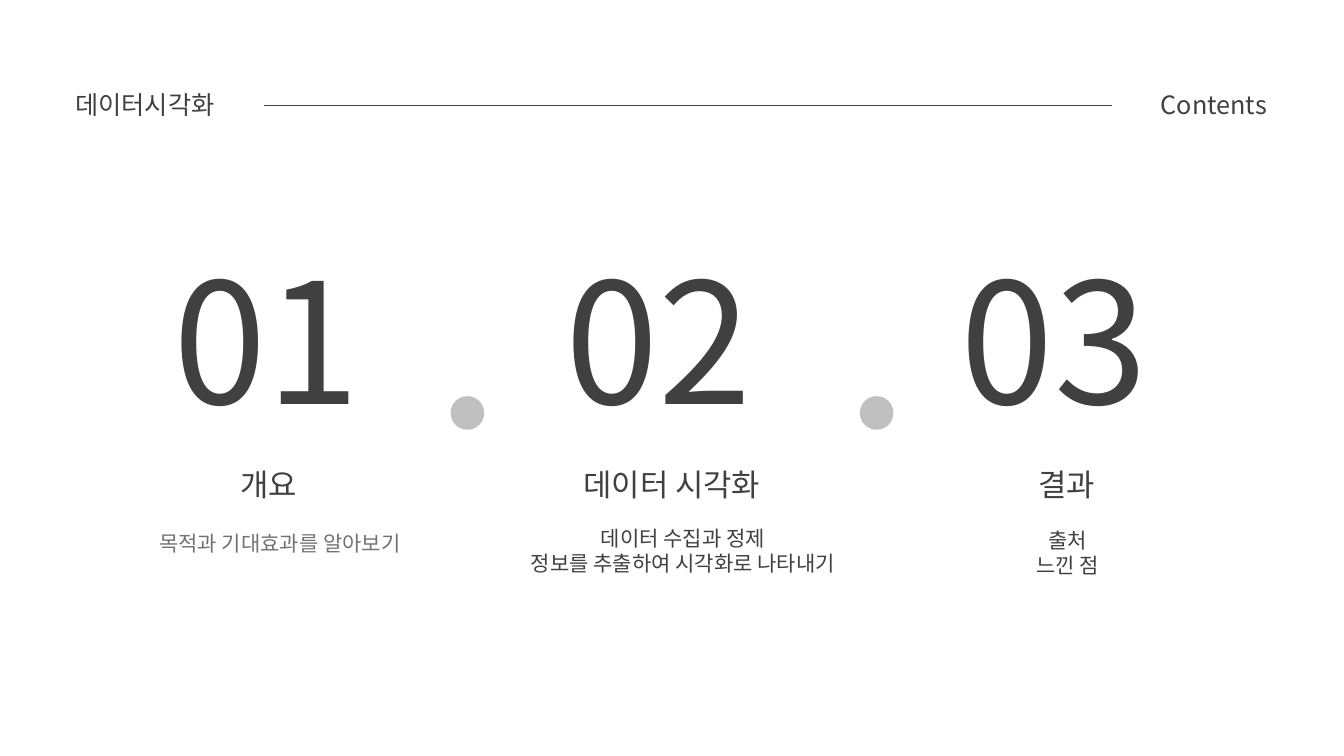
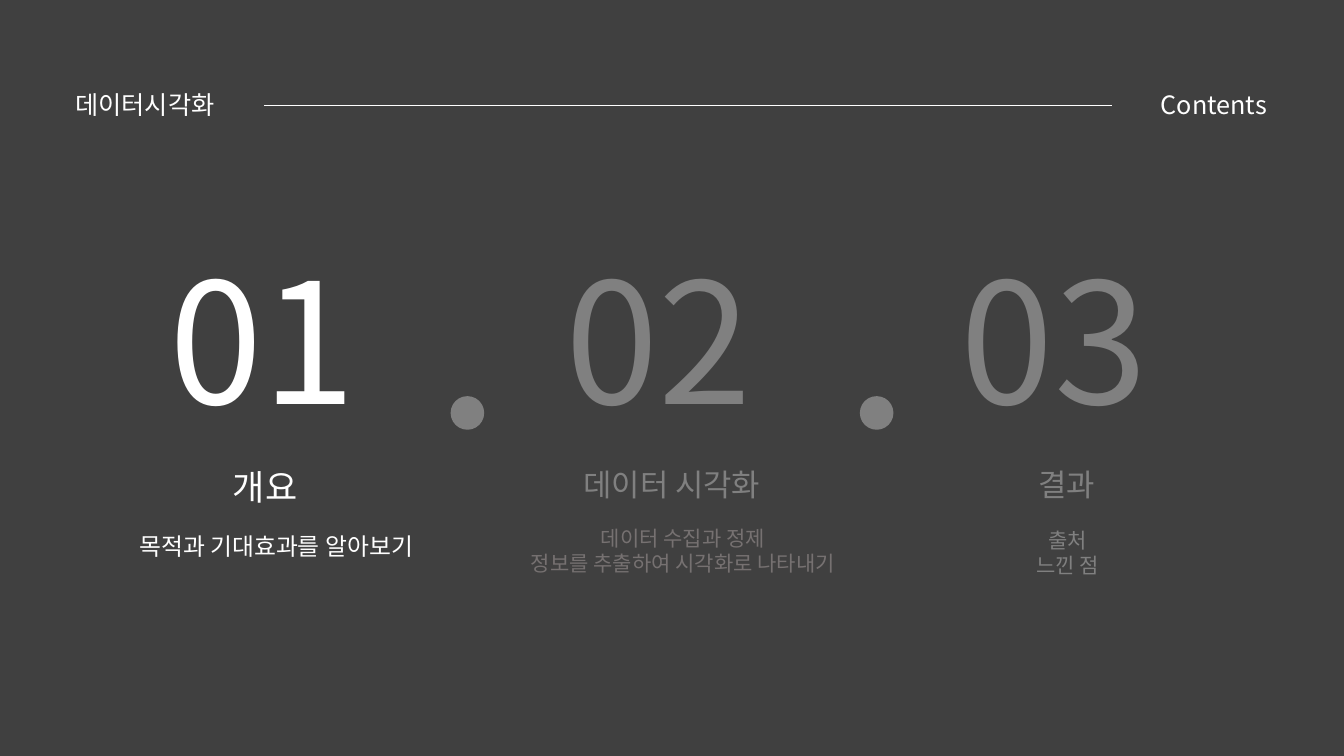
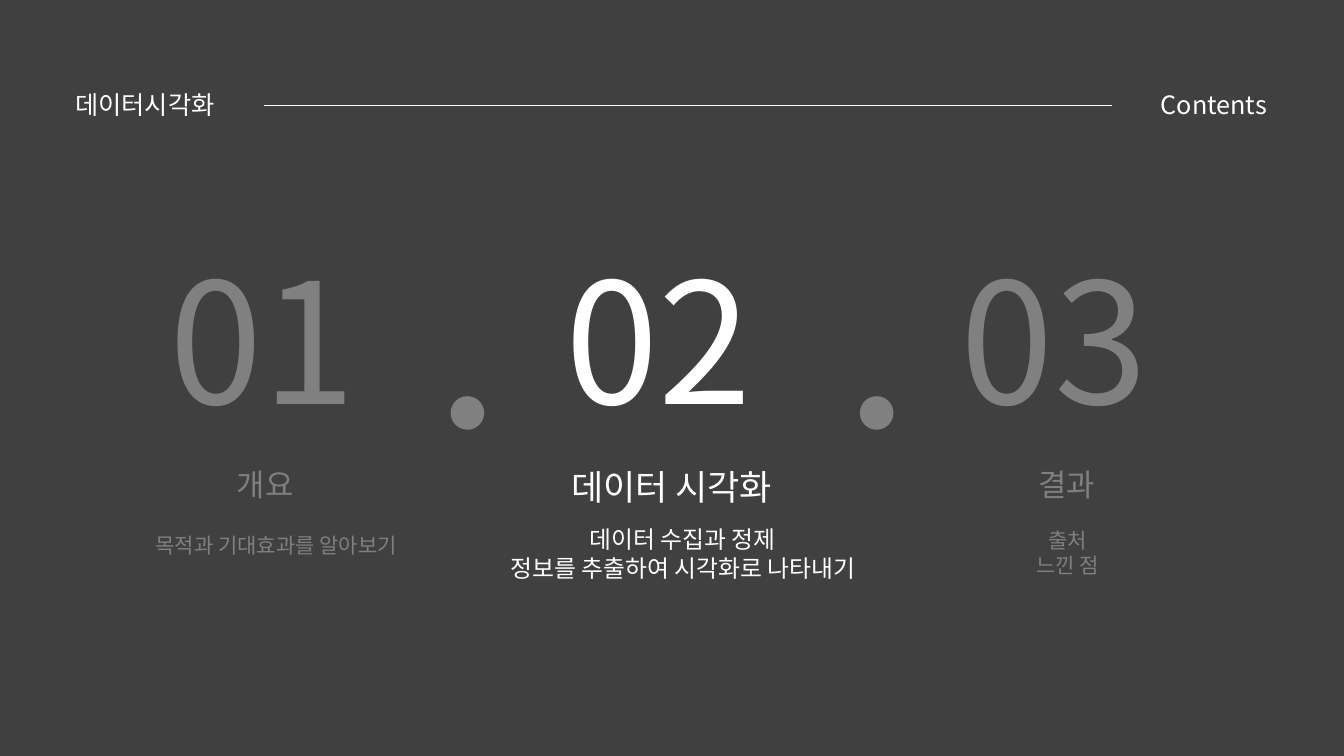
from dataclasses import dataclass

from lxml import etree
from pptx import Presentation
from pptx.dml.color import RGBColor
from pptx.enum.shapes import MSO_CONNECTOR, MSO_SHAPE
from pptx.enum.text import MSO_ANCHOR, MSO_AUTO_SIZE, PP_ALIGN
from pptx.oxml.ns import qn
from pptx.util import Inches, Pt

LEFT, CENTER, RIGHT = PP_ALIGN.LEFT, PP_ALIGN.CENTER, PP_ALIGN.RIGHT
TOP, GROW = MSO_ANCHOR.TOP, MSO_AUTO_SIZE.SHAPE_TO_FIT_TEXT
OVAL, STRAIGHT = MSO_SHAPE.OVAL, MSO_CONNECTOR.STRAIGHT
TITLE_ONLY = 5
COLS, ROWS = 160, 90
INSET_X, INSET_Y = 2.4, 1.2  # both side margins of a text box, in grid cells


@dataclass(frozen=True)
class Theme:
    font: str = "Noto Sans CJK KR"
    dark: str = "404040"
    white: str = "FFFFFF"
    muted: str = "808080"
    warm: str = "767171"
    pale: str = "BFBFBF"
    header: int = 18
    number: int = 120
    label: int = 22
    label_active: int = 25
    caption: int = 15
    caption_active: int = 17


@dataclass(frozen=True)
class Section:
    number: str
    label: str
    caption: tuple
    label_width: float
    label_center: float  # offset from the section's left edge
    caption_width: float
    caption_center: float
    caption_top: float


@dataclass(frozen=True)
class Page:
    background: str
    ink: str
    section_ink: str
    dot: str
    active: int = -1
    warm_caption: int = -1
    first_shift: tuple = (0, 0)  # first section's column, its caption's row


class Deck:
    def __init__(self, theme):
        self.theme = theme
        self.prs = Presentation()
        self.prs.slide_width, self.prs.slide_height = Inches(13.333), Inches(7.5)
        self.slide = None

    def x(self, cols):
        return round(self.prs.slide_width * cols / COLS)

    def y(self, rows):
        return round(self.prs.slide_height * rows / ROWS)

    def box(self, left, top, width, height):
        return self.x(left), self.y(top), self.x(width), self.y(height)

    def new_slide(self, background):
        self.slide = self.prs.slides.add_slide(self.prs.slide_layouts[TITLE_ONLY])
        fill = self.slide.background.fill
        fill.solid()
        fill.fore_color.rgb = RGBColor.from_string(background)

    def set_text(self, shape, lines, size, color, align):
        frame = shape.text_frame
        frame.text = "\n".join(lines)
        frame.word_wrap = False
        frame.auto_size = GROW
        frame.vertical_anchor = TOP
        for paragraph in frame.paragraphs:
            paragraph.alignment = align
            font = paragraph.font
            font.size, font.name = Pt(size), self.theme.font
            font.color.rgb = RGBColor.from_string(color)
            # Hangul takes the East Asian typeface
            defaults = paragraph._p.pPr.find(qn("a:defRPr"))
            etree.SubElement(defaults, qn("a:ea")).set("typeface", self.theme.font)

    def title(self, text, area, color):
        shape = self.slide.shapes.title
        shape.left, shape.top, shape.width, shape.height = self.box(*area)
        self.set_text(shape, [text], self.theme.header, color, RIGHT)

    def text(self, lines, area, size, color, align=LEFT):
        shape = self.slide.shapes.add_textbox(*self.box(*area))
        self.set_text(shape, lines, size, color, align)

    def centered(self, lines, center, top, width, height, size, base_size, color):
        """Centre text in a box that grows with its type size."""
        scale = size / base_size
        width = (width - INSET_X) * scale + INSET_X
        height = (height - INSET_Y) * scale + INSET_Y
        self.text(lines, (center - width / 2, top, width, height), size, color, CENTER)

    def rule(self, start, end, row, color):
        line = self.slide.shapes.add_connector(
            STRAIGHT, self.x(start), self.y(row), self.x(end), self.y(row))
        line.line.color.rgb = RGBColor.from_string(color)
        line.line.width = Pt(0.5)
        etree.SubElement(line._element.spPr, qn("a:effectLst"))

    def dot(self, center, top, size, color):
        dot = self.slide.shapes.add_shape(
            OVAL, *self.box(center - size / 2, top, size, size))
        dot.shadow.inherit = False
        dot.fill.solid()
        dot.fill.fore_color.rgb = RGBColor.from_string(color)
        dot.line.fill.background()

    def header(self, color):
        self.text(["데이터시각화"], (7.8, 10.08, 20.76, 4.8), self.theme.header, color)
        self.rule(31.44, 132.36, 12.6, color)
        self.title("Contents", (136.08, 10.08, 15.96, 4.8), color)

    def section(self, section, left, caption_shift, active, color, caption_color):
        theme = self.theme
        self.text([section.number], (left, 27.6, 27.84, 25.44), theme.number, color)
        self.centered([section.label], left + section.label_center, 54.84,
                      section.label_width, 5.64,
                      theme.label_active if active else theme.label,
                      theme.label, color)
        self.centered(section.caption, left + section.caption_center,
                      section.caption_top + caption_shift, section.caption_width,
                      INSET_Y + 3.05 * len(section.caption),
                      theme.caption_active if active else theme.caption,
                      theme.caption, caption_color)


theme = Theme()
deck = Deck(theme)

# Contents
SECTIONS = [
    Section("01", "개요", ("목적과 기대효과를 알아보기",),
            9.5, 12.56, 32.88, 13.88, 62.76),
    Section("02", "데이터 시각화", ("데이터 수집과 정제", "정보를 추출하여 시각화로 나타내기"),
            24.84, 13.88, 40.92, 15.2, 61.92),
    Section("03", "결과", ("출처", "느낀 점"),
            9.5, 13.82, 10.44, 13.94, 62.16),
]
FIRST_LEFT, PITCH = 19, 47.1

# Overview, then one divider for each of the first two sections
PAGES = [
    Page(theme.white, theme.dark, theme.dark, theme.pale,
         warm_caption=0, first_shift=(0.45, -0.24)),
    Page(theme.dark, theme.white, theme.muted, theme.muted, active=0, warm_caption=1),
    Page(theme.dark, theme.white, theme.muted, theme.muted, active=1),
]

for page in PAGES:
    deck.new_slide(page.background)
    deck.header(page.ink)
    for index, section in enumerate(SECTIONS):
        shift, caption_shift = page.first_shift if index == 0 else (0, 0)
        active = index == page.active
        color = page.ink if active else page.section_ink
        caption_color = theme.warm if index == page.warm_caption else color
        deck.section(section, FIRST_LEFT + PITCH * index + shift, caption_shift,
                     active, color, caption_color)
    for side in (-1, 1):
        deck.dot(COLS / 2 + side * 24.36, 47.16, 4, page.dot)

deck.prs.save("out.pptx")
